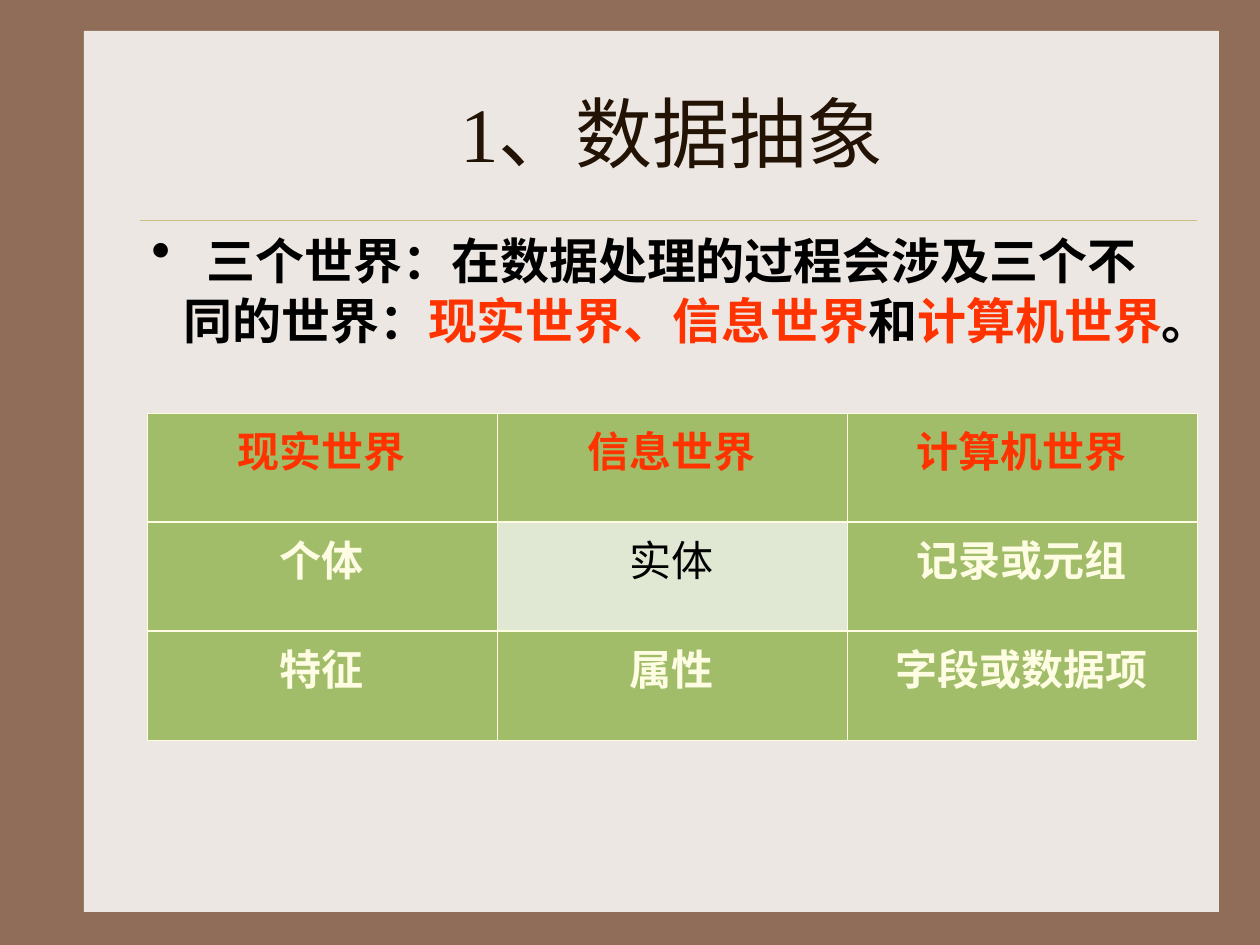
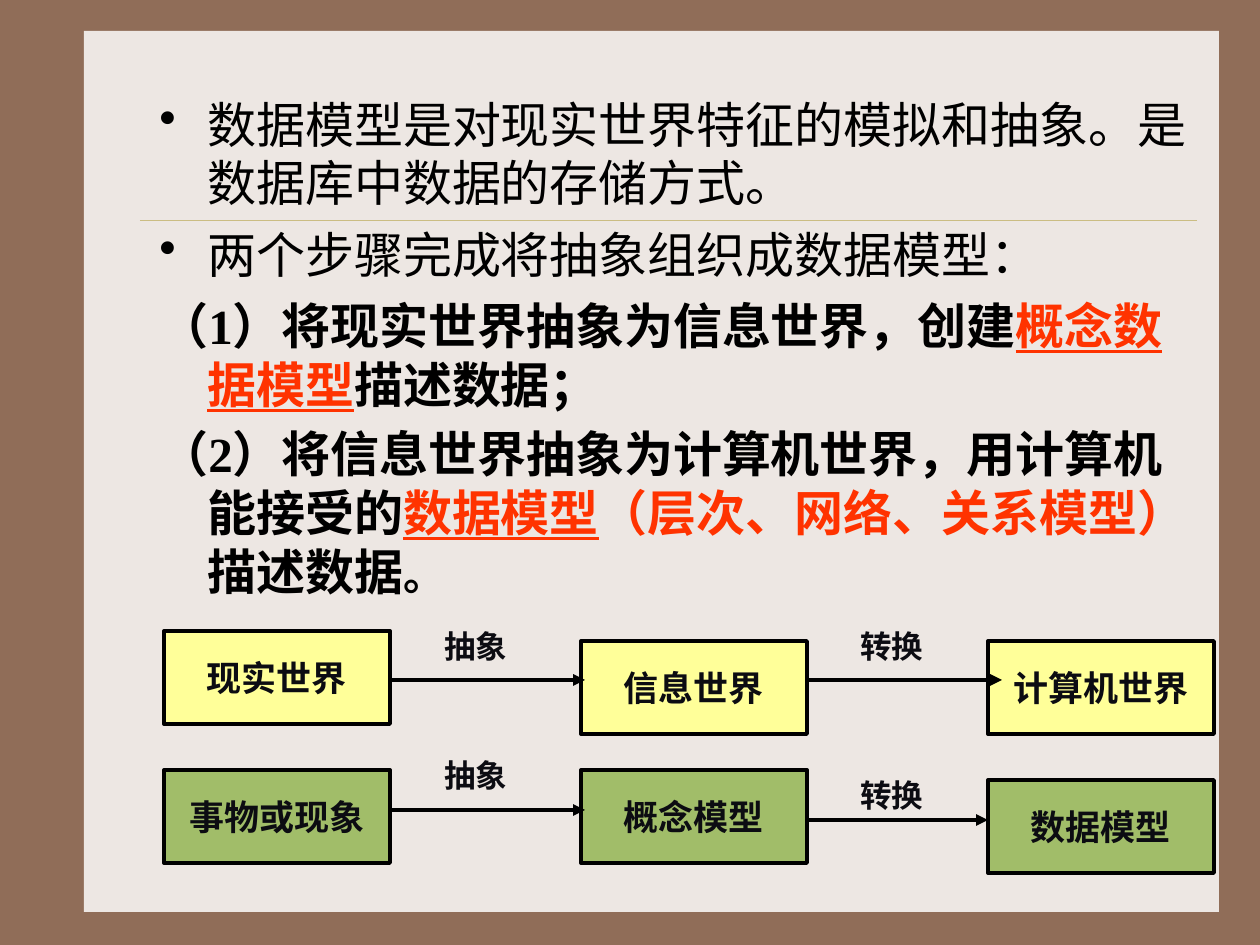
from dataclasses import dataclass

from lxml import etree
from pptx import Presentation
from pptx.dml.color import RGBColor
from pptx.enum.shapes import MSO_CONNECTOR, MSO_SHAPE
from pptx.enum.text import MSO_ANCHOR, PP_ALIGN
from pptx.oxml.ns import qn
from pptx.util import Emu, Pt

CENTER, JUSTIFY, LEFT = PP_ALIGN.CENTER, PP_ALIGN.JUSTIFY, PP_ALIGN.LEFT
MIDDLE, TOP = MSO_ANCHOR.MIDDLE, MSO_ANCHOR.TOP
RECTANGLE, STRAIGHT = MSO_SHAPE.RECTANGLE, MSO_CONNECTOR.STRAIGHT
BLANK_LAYOUT = 6
EMU_PER_PX = 914400 / 126


@dataclass(frozen=True)
class Theme:
    font: str = "Times New Roman"
    frame: str = "906D58"
    panel: str = "EDE7E3"
    rule: str = "CBBD83"
    title: str = "221304"
    black: str = "000000"
    ink: str = "0C0C12"
    accent: str = "FF3300"
    cream: str = "FEFDE3"
    green: str = "A1BD69"
    pale_green: str = "E0E8D4"
    yellow: str = "FFFF99"
    title_size: int = 44
    body_size: int = 28
    cell_size: int = 24
    box_size: int = 20
    label_size: int = 18
    outline: float = 2.25
    thin_border: float = 0.45
    thick_border: float = 1.47


THEME = Theme()


def px(length):
    return Emu(round(length * EMU_PER_PX))


def rgb(color):
    return RGBColor.from_string(color)


def write_text(paragraph, text, *, size=THEME.body_size, color=THEME.black,
               bold=False, underline=False, spacing=None):
    """Append one run; spacing is extra letter spacing in points."""
    run = paragraph.add_run()
    run.text = text
    font = run.font
    font.name, font.size, font.bold = THEME.font, Pt(size), bold
    font.underline = underline
    font.color.rgb = rgb(color)
    if spacing:
        run._r.get_or_add_rPr().set("spc", str(spacing * 100))


def set_hanging_indent(paragraph, indent, bullet=False):
    properties = paragraph._p.get_or_add_pPr()
    properties.set("marL", str(px(indent)))
    properties.set("indent", str(px(-indent)))
    if bullet:
        bullet_color = etree.SubElement(properties, qn("a:buClr"))
        etree.SubElement(bullet_color, qn("a:srgbClr"), val=THEME.black)
        etree.SubElement(properties, qn("a:buChar"), char="•")


def add_text_box(shapes, left, top, width, height, anchor=TOP):
    """Return the text frame of a new wrapping text box."""
    box = shapes.add_textbox(px(left), px(top), px(width), px(height))
    box.text_frame.word_wrap = True
    box.text_frame.vertical_anchor = anchor
    return box.text_frame


def add_short_text(shapes, text, left, top, width, height, *,
                   align=LEFT, anchor=TOP, **text_format):
    paragraph = add_text_box(shapes, left, top, width, height, anchor).paragraphs[0]
    paragraph.alignment = align
    write_text(paragraph, text, **text_format)


def add_body(shapes, left, top, width, height, indent, paragraphs):
    """paragraphs holds (bullet, space before, [(text, format), ...])."""
    frame = add_text_box(shapes, left, top, width, height)
    for index, (bullet, space_before, runs) in enumerate(paragraphs):
        paragraph = frame.add_paragraph() if index else frame.paragraphs[0]
        set_hanging_indent(paragraph, indent, bullet)
        if space_before:
            paragraph.space_before = Pt(space_before)
        for text, text_format in runs:
            write_text(paragraph, text, **text_format)


def add_rectangle(shapes, left, top, width, height, fill, outline=None):
    shape = shapes.add_shape(RECTANGLE, px(left), px(top), px(width), px(height))
    shape.shadow.inherit = False
    shape.fill.solid()
    shape.fill.fore_color.rgb = rgb(fill)
    if outline:
        shape.line.color.rgb = rgb(outline)
        shape.line.width = Pt(THEME.outline)
    else:
        shape.line.fill.background()
    return shape


def add_box(shapes, text, left, top, fill):
    shape = add_rectangle(shapes, left, top, 226, 93, fill, THEME.black)
    shape.text_frame.word_wrap = True
    shape.text_frame.vertical_anchor = MIDDLE
    paragraph = shape.text_frame.paragraphs[0]
    paragraph.alignment = CENTER
    write_text(paragraph, text, size=THEME.box_size, color=THEME.ink, bold=True)


def add_horizontal_line(shapes, start, end, y, color, width, arrow=False):
    line = shapes.add_connector(STRAIGHT, px(start), px(y), px(end), px(y))
    line.line.color.rgb = rgb(color)
    line.line.width = Pt(width)
    if arrow:
        etree.SubElement(line.line._get_or_add_ln(), qn("a:tailEnd"), type="triangle")
    etree.SubElement(line._element.spPr, qn("a:effectLst"))


def add_framed_slide(presentation):
    """Add a slide with the shared brown frame, light panel and title rule."""
    slide = presentation.slides.add_slide(presentation.slide_layouts[BLANK_LAYOUT])
    slide.background.fill.solid()
    slide.background.fill.fore_color.rgb = rgb(THEME.frame)
    add_rectangle(slide.shapes, 84, 31, 1135, 881, THEME.panel)
    add_horizontal_line(slide.shapes, 140, 1197, 220, THEME.rule, 0.25)
    return slide


def set_cell_borders(cell, widths):
    properties = cell._tc.get_or_add_tcPr()
    for side, width in widths.items():
        border = etree.SubElement(properties, qn(f"a:ln{side}"), w=str(Pt(width)))
        fill = etree.SubElement(border, qn("a:solidFill"))
        etree.SubElement(fill, qn("a:srgbClr"), val=THEME.cream)


def format_cell(cell, text, fill, borders, **text_format):
    set_cell_borders(cell, borders)
    cell.fill.solid()
    cell.fill.fore_color.rgb = rgb(fill)
    cell.margin_left = cell.margin_right = px(10)
    cell.margin_top = cell.margin_bottom = px(6)
    paragraph = cell.text_frame.paragraphs[0]
    paragraph.alignment = CENTER
    write_text(paragraph, text, size=THEME.cell_size, **text_format)


def add_world_table(shapes, rows, plain_text):
    """Header in the accent colour; the cell holding plain_text is left light."""
    column_width, row_height = 350, 109
    table = shapes.add_table(
        len(rows), len(rows[0]), px(147), px(413),
        px(column_width * len(rows[0])), px(row_height * len(rows))).table
    table.first_row = table.horz_banding = False
    thin, thick = THEME.thin_border, THEME.thick_border
    for row_index, row in enumerate(rows):
        borders = {
            "L": thin,
            "R": thin,
            "T": thick if row_index else thin,
            "B": thick if row_index < len(rows) - 1 else thin,
        }
        for column_index, text in enumerate(row):
            plain = text == plain_text
            color = THEME.cream if row_index else THEME.accent
            format_cell(table.cell(row_index, column_index), text,
                        THEME.pale_green if plain else THEME.green, borders,
                        color=THEME.black if plain else color, bold=not plain)


def add_flow(shapes, fill, boxes, labels, arrows):
    """Group a row of boxes (text, top), labels (text, top) and arrows (end, y)."""
    group = shapes.add_group_shape().shapes
    for left, (text, top) in zip((164, 581, 988), boxes):
        add_box(group, text, left, top, fill)
    for left, (text, top) in zip((432, 848), labels):
        add_short_text(group, text, left, top, 100, 50, align=JUSTIFY,
                       size=THEME.label_size, color=THEME.ink, bold=True)
    for start, (end, y) in zip((392, 809), arrows):
        add_horizontal_line(group, start, end, y, THEME.black, THEME.outline, arrow=True)


def build_abstraction_slide(presentation):
    shapes = add_framed_slide(presentation).shapes
    add_short_text(shapes, "1、数据抽象", 147, 53, 1050, 158, align=CENTER,
                   anchor=MIDDLE, size=THEME.title_size, color=THEME.title)
    add_world_table(shapes, [
        ("现实世界", "信息世界", "计算机世界"),
        ("个体", "实体", "记录或元组"),
        ("特征", "属性", "字段或数据项"),
    ], plain_text="实体")
    strong = {"bold": True}
    accent = {"bold": True, "color": THEME.accent}
    add_body(shapes, 139, 217, 1052, 139, 32, [
        (True, 0, [
            (" ", {"size": 32, "bold": True, "spacing": 6}),
            ("三个世界：在数据处理的过程会涉及三个不同的世界：", strong),
            ("现实世界、信息世界", accent),
            ("和", strong),
            ("计算机世界", accent),
            ("。", strong),
        ]),
    ])


def build_model_slide(presentation):
    shapes = add_framed_slide(presentation).shapes
    add_flow(shapes, THEME.yellow,
             [("现实世界", 631), ("信息世界", 641), ("计算机世界", 641)],
             [("抽象", 621), ("转换", 621)],
             [(585, 680), (1002, 680)])
    add_flow(shapes, THEME.green,
             [("事物或现象", 770), ("概念模型", 770), ("数据模型", 780)],
             [("抽象", 750), ("转换", 770)],
             [(585, 810), (988, 820)])
    strong = {"bold": True}
    accent = {"bold": True, "color": THEME.accent}
    key_term = {**accent, "underline": True}
    add_body(shapes, 147, 88, 1052, 580, 48, [
        (True, 0, [("数据模型是对现实世界特征的模拟和抽象。是数据库中数据的存储方式。", {})]),
        (True, 7, [("两个步骤完成将抽象组织成数据模型：", {})]),
        (False, 7, [
            ("（1）将现实世界抽象为信息世界，创建", strong),
            ("概念数据模型", key_term),
            ("描述数据；", strong),
        ]),
        (False, 6, [
            ("（2）将信息世界抽象为计算机世界，用计算机能接受的", strong),
            ("数据模型", key_term),
            ("（层次、网络、关系模型）", accent),
            ("描述数据", strong),
            ("。", {"bold": True, "size": 24}),
        ]),
    ])


def main():
    presentation = Presentation()
    presentation.slide_width, presentation.slide_height = px(1260), px(945)
    build_abstraction_slide(presentation)
    build_model_slide(presentation)
    presentation.save("out.pptx")


if __name__ == "__main__":
    main()
